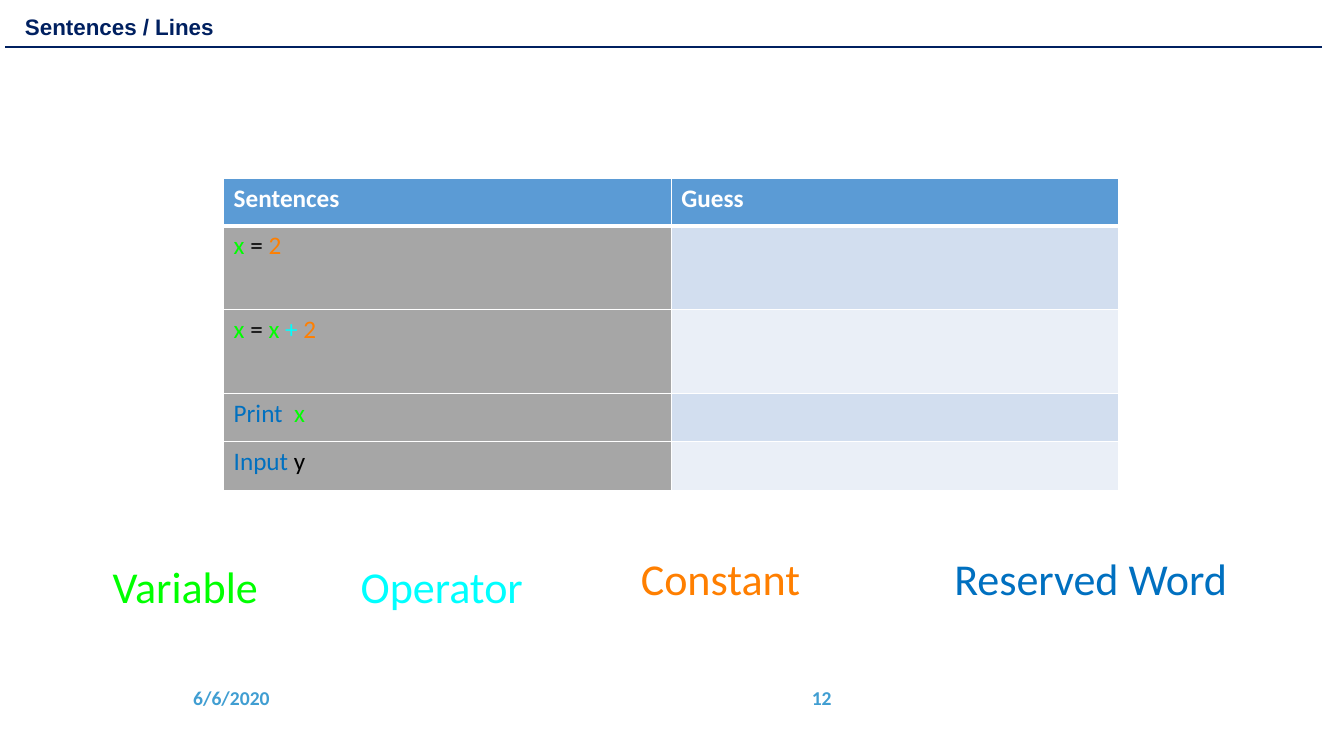
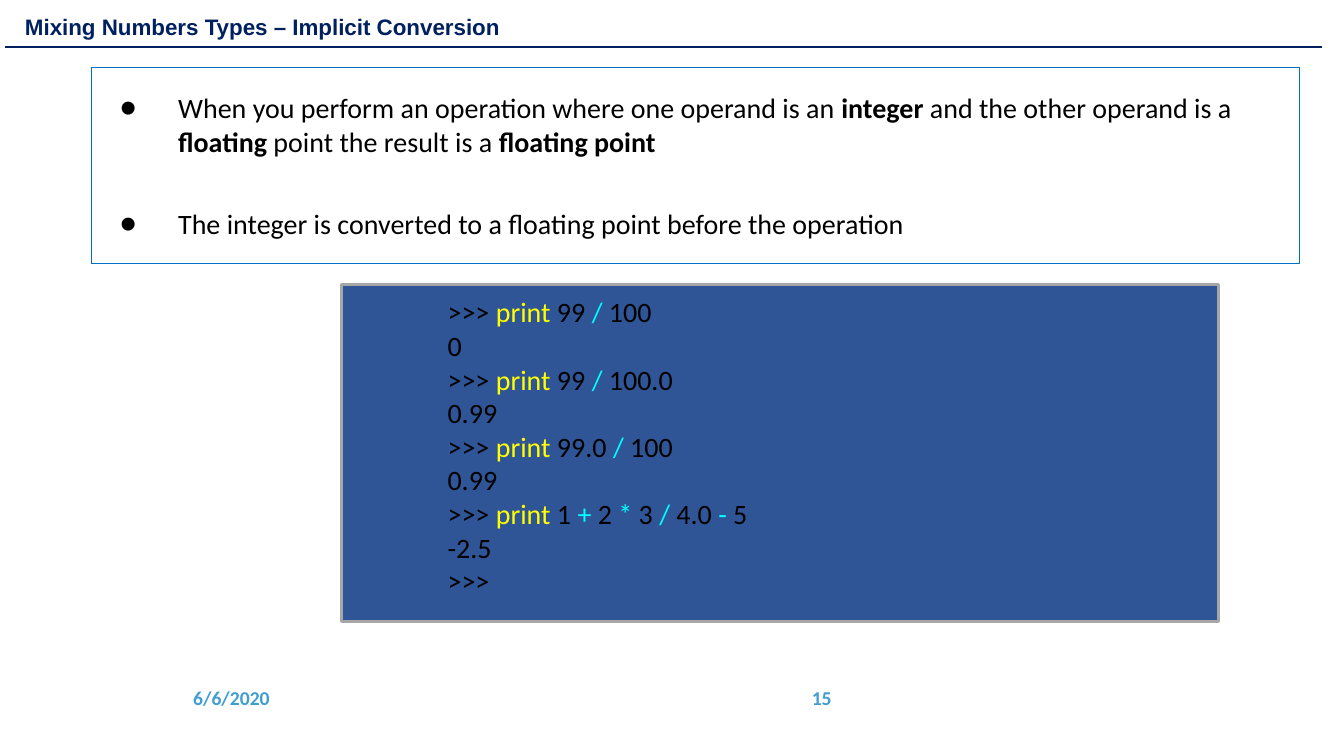
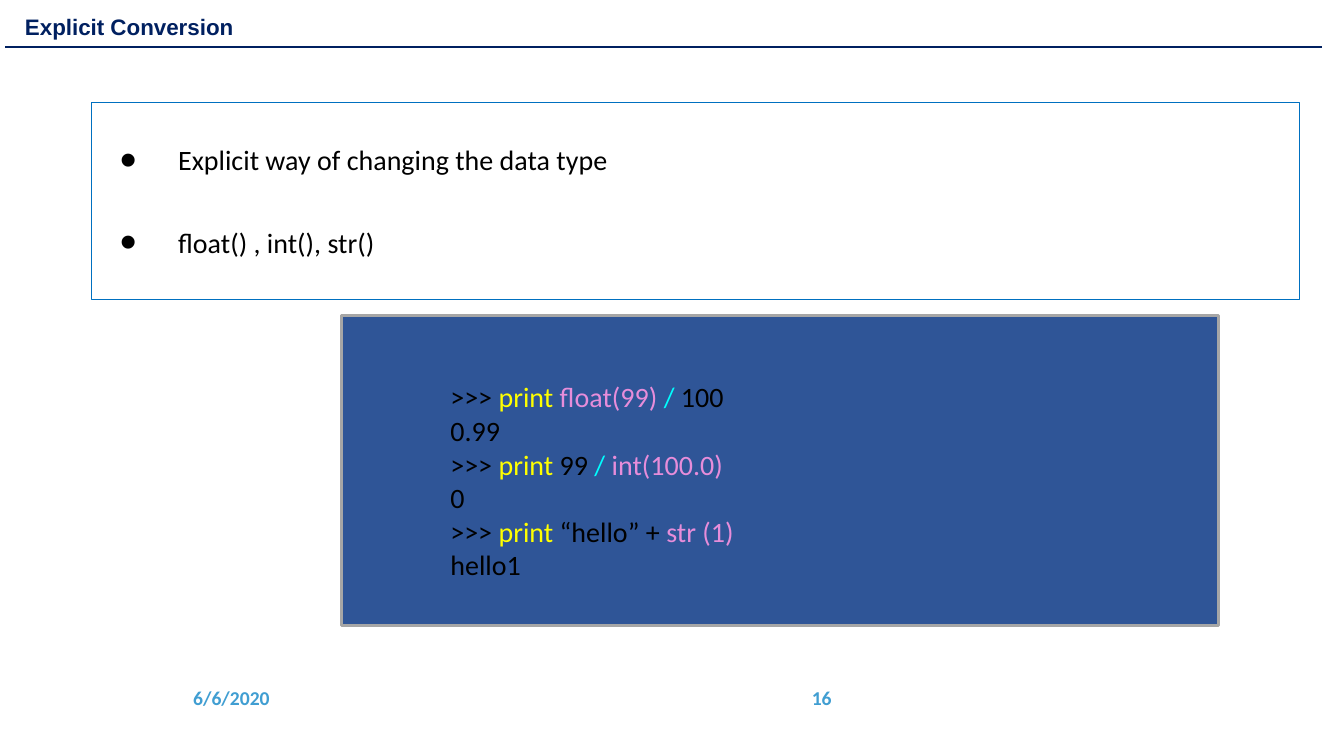
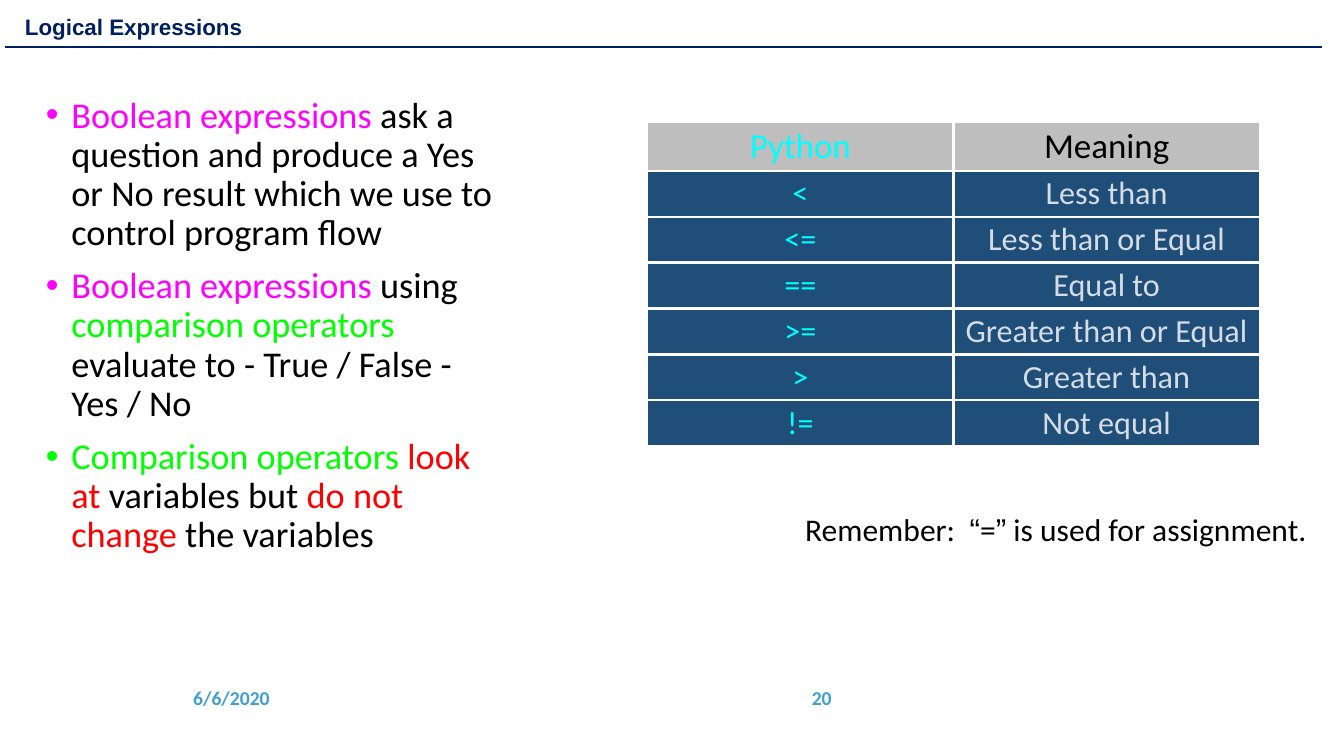
import dataclasses
import typing

import lxml.etree
import pptx
import pptx.dml.color
import pptx.dml.fill
import pptx.enum.shapes
import pptx.enum.text
import pptx.oxml.ns
import pptx.presentation
import pptx.shapes.autoshape
import pptx.slide
import pptx.table
import pptx.text.text
import pptx.util

Cm = pptx.util.Cm
Pt = pptx.util.Pt
Align = pptx.enum.text.PP_ALIGN
Anchor = pptx.enum.text.MSO_ANCHOR

BLACK = "000000"
WHITE = "FFFFFF"
NAVY = "002060"
FOOTER_BLUE = "409ED2"
KEYWORD_BLUE = "0070C0"
GREEN = "00FF00"
CYAN = "00FFFF"
ORANGE = "FF7F00"
YELLOW = "FFFF00"
PINK = "E78DDA"
MAGENTA = "FF00FF"
RED = "FF0000"
GREY = "A6A6A6"
CONSOLE_BLUE = "2F5597"
HEADER_BLUE = "5B9BD5"
BAND_BLUES = ("D2DEEF", "EAEFF7")
HEADER_GREY = "7F7F7F"
ROW_BLUE = "1F4E79"
PALE = "D6DCE5"


class Box(typing.NamedTuple):
    left: float
    top: float
    width: float
    height: float

    def lengths(self) -> list[pptx.util.Length]:
        return [Cm(value) for value in self]


class Run(typing.NamedTuple):
    text: str
    color: str = BLACK
    bold: bool = False
    font: str = "Calibri"


Line = typing.Sequence[Run]


@dataclasses.dataclass(frozen=True)
class TextStyle:
    size: float
    align: Align = Align.LEFT
    anchor: Anchor = Anchor.MIDDLE
    inset_x: float = 0
    inset_y: float = 0
    wrap: bool = True
    line_spacing: float | None = None
    space_before: float | None = None
    margin: float = 0
    hanging: float = 0
    bullet_percent: int = 0


@dataclasses.dataclass(frozen=True)
class Cell:
    runs: Line
    fill: str
    alpha: int = 100
    bottom_border: float | None = None


TITLE = TextStyle(16, anchor=Anchor.BOTTOM, inset_x=0.25, inset_y=0.13, line_spacing=0.9)
DATE = TextStyle(14, inset_x=0.25, inset_y=0.13)
PAGE_NUMBER = dataclasses.replace(DATE, align=Align.RIGHT)
LEGEND = TextStyle(31.5, wrap=False)
REMINDER = TextStyle(22.5, wrap=False)
CODE = TextStyle(20)
NOTES = TextStyle(20, inset_x=0.1, inset_y=0.1, space_before=35,
                  margin=2.08, hanging=1.47, bullet_percent=171)
BODY = TextStyle(25.9, anchor=Anchor.TOP, inset_x=0.25, inset_y=0.13, line_spacing=0.9,
                 space_before=10, margin=1.55, hanging=0.64, bullet_percent=100)
SENTENCE_CELL = TextStyle(18, anchor=Anchor.TOP, inset_x=0.25, inset_y=0.13)
OPERATOR_HEADER = TextStyle(25, align=Align.CENTER, inset_x=0.08, inset_y=0.08)
OPERATOR_CELL = dataclasses.replace(OPERATOR_HEADER, size=23)

PROMPT = Run(">>> ")
PRINT = Run("print", YELLOW)


def rgb(color: str) -> pptx.dml.color.RGBColor:
    return pptx.dml.color.RGBColor.from_string(color)


def fill_solid(fill: pptx.dml.fill.FillFormat, color: str) -> None:
    fill.solid()
    fill.fore_color.rgb = rgb(color)


def add_element(parent: typing.Any, tag: str, **attributes: str) -> typing.Any:
    return lxml.etree.SubElement(parent, pptx.oxml.ns.qn(tag), attributes)


def add_bullet(paragraph: typing.Any, style: TextStyle) -> None:
    properties = paragraph._p.get_or_add_pPr()
    properties.set("marL", str(Cm(style.margin)))
    properties.set("indent", str(-Cm(style.hanging)))
    add_element(properties, "a:buSzPct", val=str(style.bullet_percent * 1000))
    add_element(properties, "a:buFont", typeface="Arial")
    add_element(properties, "a:buChar", char="•")


def write_lines(frame: pptx.text.text.TextFrame, lines: typing.Sequence[Line],
                style: TextStyle) -> None:
    for index, line in enumerate(lines):
        paragraph = frame.add_paragraph() if index else frame.paragraphs[0]
        paragraph.alignment = style.align
        paragraph.line_spacing = style.line_spacing
        if style.space_before is not None:
            paragraph.space_before = Pt(style.space_before)
        if style.bullet_percent:
            add_bullet(paragraph, style)
        for part in line:
            run = paragraph.add_run()
            run.text = part.text
            run.font.name = part.font
            run.font.size = Pt(style.size)
            run.font.bold = part.bold
            run.font.color.rgb = rgb(part.color)


def set_text(shape: typing.Any, lines: typing.Sequence[Line], style: TextStyle) -> None:
    frame = shape.text_frame
    frame.auto_size = pptx.enum.text.MSO_AUTO_SIZE.NONE
    frame.word_wrap = style.wrap
    frame.vertical_anchor = style.anchor
    frame.margin_left = frame.margin_right = Cm(style.inset_x)
    frame.margin_top = frame.margin_bottom = Cm(style.inset_y)
    write_lines(frame, lines, style)


def add_text(slide: pptx.slide.Slide, box: Box, lines: typing.Sequence[Line],
             style: TextStyle) -> None:
    set_text(slide.shapes.add_textbox(*box.lengths()), lines, style)


def add_frame(slide: pptx.slide.Slide, box: Box, border: str, weight: float,
              fill: str | None = None) -> pptx.shapes.autoshape.Shape:
    frame = slide.shapes.add_shape(pptx.enum.shapes.MSO_SHAPE.RECTANGLE, *box.lengths())
    frame.shadow.inherit = False
    if fill:
        fill_solid(frame.fill, fill)
    else:
        frame.fill.background()
    frame.line.color.rgb = rgb(border)
    frame.line.width = Pt(weight)
    return frame


def add_notes_box(slide: pptx.slide.Slide, top: float, lines: typing.Sequence[Line]) -> None:
    notes = add_frame(slide, Box(2.31, top, 30.45, 4.95), KEYWORD_BLUE, 0.75)
    set_text(notes, lines, NOTES)


def add_console(slide: pptx.slide.Slide, panel: Box, code: Box,
                lines: typing.Sequence[Line]) -> None:
    add_frame(slide, panel, GREY, 2.25, CONSOLE_BLUE)
    add_text(slide, code, lines, CODE)


def format_cell(target: pptx.table._Cell, cell: Cell, style: TextStyle, border: float) -> None:
    properties = target._tc.get_or_add_tcPr()
    weights = {"a:lnL": border, "a:lnR": border, "a:lnT": border,
               "a:lnB": cell.bottom_border or border}
    for tag, weight in weights.items():
        edge = add_element(properties, tag, w=str(Pt(weight)))
        add_element(add_element(edge, "a:solidFill"), "a:srgbClr", val=WHITE)
    fill_solid(target.fill, cell.fill)
    if cell.alpha < 100:
        color = properties.find(pptx.oxml.ns.qn("a:solidFill"))[0]
        add_element(color, "a:alpha", val=str(cell.alpha * 1000))
    target.vertical_anchor = style.anchor
    target.margin_left = target.margin_right = Cm(style.inset_x)
    target.margin_top = target.margin_bottom = Cm(style.inset_y)
    write_lines(target.text_frame, [cell.runs], style)


def add_grid(slide: pptx.slide.Slide, left: float, top: float, column_width: float,
             heights: typing.Sequence[float], rows: typing.Sequence[typing.Sequence[Cell]],
             header: TextStyle, body: TextStyle, border: float) -> None:
    columns = len(rows[0])
    box = Box(left, top, column_width * columns, sum(heights))
    table = slide.shapes.add_table(len(rows), columns, *box.lengths()).table
    table.horz_banding = False
    for column in table.columns:
        column.width = Cm(column_width)
    for row_index, (row, height) in enumerate(zip(rows, heights)):
        table.rows[row_index].height = Cm(height)
        for column_index, cell in enumerate(row):
            style = body if row_index else header
            format_cell(table.cell(row_index, column_index), cell, style, border)


def add_slide(deck: pptx.presentation.Presentation, title: str, number: int) -> pptx.slide.Slide:
    slide = deck.slides.add_slide(deck.slide_layouts.get_by_name("Title Only"))
    heading = slide.shapes.title
    heading.left, heading.top, heading.width, heading.height = Box(0.38, 0.25, 22.96, 0.89).lengths()
    fill_solid(heading.fill, WHITE)
    set_text(heading, [[Run(title, NAVY, True, "Arial")]], TITLE)
    rule = slide.shapes.add_connector(pptx.enum.shapes.MSO_CONNECTOR.STRAIGHT,
                                      Cm(0.13), Cm(1.19), Cm(33.32), Cm(1.19))
    rule.line.color.rgb = rgb(NAVY)
    rule.line.width = Pt(1.5)
    add_element(rule._element.spPr, "a:effectLst")
    add_text(slide, Box(4.62, 17.07, 3.5, 1.02), [[Run("6/6/2020", FOOTER_BLUE, True)]], DATE)
    add_text(slide, Box(13.51, 17.07, 7.7, 1.02), [[Run(str(number), FOOTER_BLUE, True)]],
             PAGE_NUMBER)
    return slide


def build_sentences(deck: pptx.presentation.Presentation) -> None:
    slide = add_slide(deck, "Sentences / Lines", 12)
    sentences = [
        [Run("x ", GREEN), Run("="), Run(" 2", ORANGE)],
        [Run("x ", GREEN), Run("= "), Run("x ", GREEN), Run("+", CYAN), Run(" 2", ORANGE)],
        [Run("Print  ", KEYWORD_BLUE), Run("x", GREEN)],
        [Run("Input", KEYWORD_BLUE), Run(" y")],
    ]
    rows = [[Cell([Run(label, WHITE, True)], HEADER_BLUE, bottom_border=3)
             for label in ("Sentences", "Guess")]]
    rows += [[Cell(sentence, GREY), Cell([], BAND_BLUES[index % 2])]
             for index, sentence in enumerate(sentences)]
    add_grid(slide, 5.64, 4.5, 11.28, [1.19, 2.11, 2.11, 1.22, 1.22], rows,
             SENTENCE_CELL, SENTENCE_CELL, 1)
    legend = [
        (Box(2.84, 14.1, 3.71, 1.35), Run("Variable", GREEN)),
        (Box(9.09, 14.1, 4.14, 1.35), Run("Operator", CYAN)),
        (Box(16.15, 13.89, 4.06, 1.35), Run("Constant", ORANGE)),
        (Box(24.05, 13.89, 6.96, 1.35), Run("Reserved Word", KEYWORD_BLUE)),
    ]
    for box, label in legend:
        add_text(slide, box, [[label]], LEGEND)


def build_implicit_conversion(deck: pptx.presentation.Presentation) -> None:
    slide = add_slide(deck, "Mixing Numbers Types – Implicit Conversion", 15)
    add_notes_box(slide, 1.7, [
        [Run("When you perform an operation where one operand is an "),
         Run("integer", bold=True), Run(" and the other operand is a "),
         Run("floating", bold=True), Run(" point the result is a "),
         Run("floating point", bold=True)],
        [Run("The integer is converted to a floating point before the operation")],
    ])
    divide = Run("/", CYAN)
    add_console(slide, Box(8.61, 7.16, 22.1, 8.51), Box(11.28, 7.39, 14.3, 7.7), [
        [PROMPT, PRINT, Run(" 99 "), divide, Run(" 100")],
        [Run("0")],
        [PROMPT, PRINT, Run(" 99 "), divide, Run(" 100.0")],
        [Run("0.99")],
        [PROMPT, PRINT, Run(" 99.0 "), divide, Run(" 100")],
        [Run("0.99")],
        [PROMPT, PRINT, Run(" 1 "), Run("+", CYAN), Run(" 2 "), Run("*", CYAN), Run(" 3 "),
         divide, Run(" 4.0 "), Run("-", CYAN), Run(" 5")],
        [Run("-2.5")],
        [Run(">>>")],
    ])


def build_explicit_conversion(deck: pptx.presentation.Presentation) -> None:
    slide = add_slide(deck, "Explicit Conversion", 16)
    add_notes_box(slide, 2.59, [
        [Run("Explicit way of changing the data type")],
        [Run("float() , int(), str()")],
    ])
    add_console(slide, Box(8.61, 7.95, 22.1, 7.82), Box(11.35, 9.55, 14.3, 5.13), [
        [PROMPT, PRINT, Run(" float(99) ", PINK), Run("/", CYAN), Run(" 100")],
        [Run("0.99")],
        [PROMPT, PRINT, Run(" 99"), Run(" / ", CYAN), Run("int(100.0)", PINK)],
        [Run("0")],
        [PROMPT, PRINT, Run(" “hello” + "), Run("str (1)", PINK)],
        [Run("hello1")],
    ])


def build_logical_expressions(deck: pptx.presentation.Presentation) -> None:
    slide = add_slide(deck, "Logical Expressions", 20)
    boolean = Run("Boolean expressions", MAGENTA)
    add_text(slide, Box(0, 2.31, 12.88, 11.89), [
        [boolean, Run(" ask a question and produce a Yes or No result which we use to "
                      "control program flow")],
        [boolean, Run(" using "), Run("comparison operators ", GREEN),
         Run("evaluate to - True / False - Yes / No")],
        [Run("Comparison operators ", GREEN), Run("look at", RED), Run(" variables but "),
         Run("do not change", RED), Run(" the variables")],
    ], BODY)
    meanings = {
        "<": "Less than",
        "<=": "Less than or Equal",
        "==": "Equal to",
        ">=": "Greater than or Equal",
        ">": "Greater than",
        "!=": "Not equal",
    }
    rows = [[Cell([Run("Python", CYAN)], HEADER_GREY, alpha=50),
             Cell([Run("Meaning")], HEADER_GREY, alpha=50)]]
    rows += [[Cell([Run(operator, CYAN)], ROW_BLUE), Cell([Run(meaning, PALE)], ROW_BLUE)]
             for operator, meaning in meanings.items()]
    add_grid(slide, 16.31, 3.07, 7.72, [1.19] + [1.15] * len(meanings), rows,
             OPERATOR_HEADER, OPERATOR_CELL, 2)
    add_text(slide, Box(20.29, 12.85, 13.03, 0.97), [
        [Run("Remember:  "), Run("“", font="Arial"), Run("="), Run("”", font="Arial"),
         Run(" is used for assignment.")],
    ], REMINDER)


def main() -> None:
    deck = pptx.Presentation()
    deck.slide_width, deck.slide_height = Cm(33.87), Cm(19.05)
    build_sentences(deck)
    build_implicit_conversion(deck)
    build_explicit_conversion(deck)
    build_logical_expressions(deck)
    deck.save("out.pptx")


if __name__ == "__main__":
    main()
